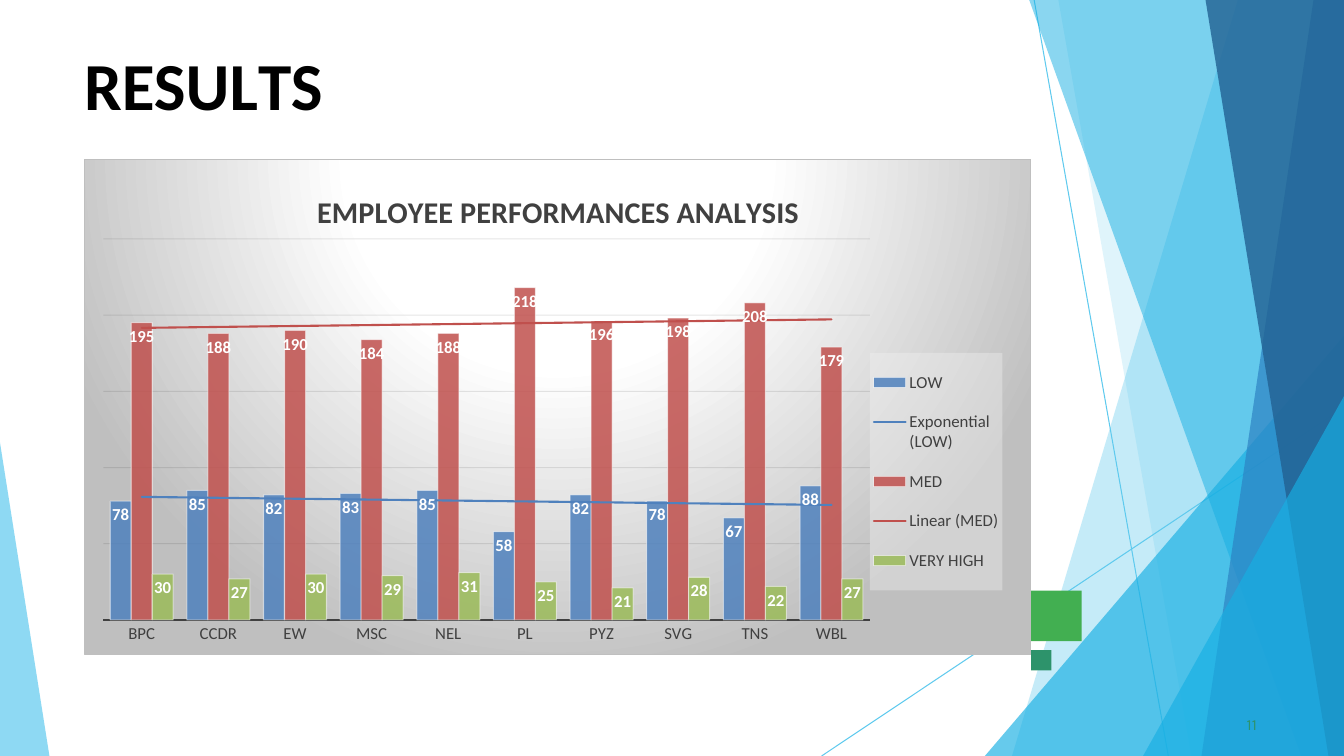
from dataclasses import dataclass

from lxml import etree
from pptx import Presentation
from pptx.chart.data import CategoryChartData
from pptx.dml.color import RGBColor
from pptx.enum.chart import XL_CHART_TYPE, XL_LABEL_POSITION, XL_LEGEND_POSITION, XL_TICK_MARK
from pptx.enum.shapes import MSO_CONNECTOR, MSO_SHAPE
from pptx.enum.text import MSO_ANCHOR, PP_ALIGN
from pptx.oxml import parse_xml
from pptx.oxml.ns import nsdecls, qn
from pptx.util import Inches, Pt

COLUMN = XL_CHART_TYPE.COLUMN_CLUSTERED
IN_END = XL_LABEL_POSITION.INSIDE_END
RIGHT = XL_LEGEND_POSITION.RIGHT
NO_TICK = XL_TICK_MARK.NONE
STRAIGHT = MSO_CONNECTOR.STRAIGHT
BOX = MSO_SHAPE.RECTANGLE
TOP = MSO_ANCHOR.TOP
LEFT = PP_ALIGN.LEFT

WIDE, HIGH = Inches(13.333), Inches(7.5)
SKY, CYAN, BLUE, NAVY = "5FCAEE", "17AFE3", "2D83C3", "226192"
GREEN, TEAL = "42AF51", "2D936B"
WHITE, BLACK, DARK, GREY = "FFFFFF", "000000", "404040", "BFBFBF"

Point = tuple[float, float]


@dataclass
class Panel:
    color: str
    alpha: int
    points: list[Point]


@dataclass
class Bars:
    name: str
    color: str
    values: tuple[int, ...]
    trend: str = ""


# Points and sizes are percent of the slide's width and height.
RAYS = [((76.95, 0), (86.93, 100)), ((100, 53.87), (61.13, 100))]
PANELS = [
    Panel(SKY, 36, [(100, 0), (92.1, 0), (75.3, 100), (100, 100)]),
    Panel(SKY, 20, [(100, 0), (78.75, 0), (88.65, 100), (100, 100)]),
    Panel(CYAN, 66, [(100, 44.4), (73.28, 100), (100, 100)]),
    Panel(CYAN, 50, [(100, 0), (76.58, 0), (96.83, 100), (100, 100)]),
    Panel(BLUE, 70, [(100, 0), (97.73, 0), (89.4, 100), (100, 100)]),
    Panel(NAVY, 80, [(100, 0), (89.7, 0), (98.85, 100), (100, 100)]),
    Panel(CYAN, 66, [(100, 52.4), (85.05, 100), (100, 100)]),
    Panel(SKY, 70, [(0, 58.53), (0, 100), (3.68, 100)]),
]
SQUARES = [(GREEN, (76.73, 78.13, 3.75, 6.67)), (TEAL, (76.73, 86, 1.5, 2.67))]
TITLE = [("RESU", 0), ("L", -400), ("TS", 0)]
TEAMS = ["BPC", "CCDR", "EW", "MSC", "NEL", "PL", "PYZ", "SVG", "TNS", "WBL"]
SERIES = [
    Bars("LOW", "4F81BD", (78, 85, 82, 83, 85, 58, 82, 78, 67, 88), "exp"),
    Bars("MED", "C0504D", (195, 188, 190, 184, 188, 218, 196, 198, 208, 179), "linear"),
    Bars("VERY HIGH", "9BBB59", (30, 27, 30, 29, 31, 25, 21, 28, 22, 27)),
]


def rgb(color: str) -> RGBColor:
    return RGBColor.from_string(color)


def spot(x: float, y: float) -> tuple[int, int]:
    return round(WIDE * x / 100), round(HIGH * y / 100)


def area(x: float, y: float, w: float, h: float) -> tuple[int, ...]:
    return spot(x, y) + spot(w, h)


def style(font, color: str, **form) -> None:
    for key, value in ({"name": "Calibri"} | form).items():
        setattr(font, key, value)
    font.color.rgb = rgb(color)


def paint(fill, color: str) -> None:
    fill.solid()
    fill.fore_color.rgb = rgb(color)


def rule(line, color: str, width: float) -> None:
    paint(line.fill, color)
    line.width = Pt(width)


def fade(node, *alphas: int) -> None:
    """Give the node's colours, in order, their opacity in percent."""
    for tint, alpha in zip(node.iter(qn("a:srgbClr")), alphas):
        etree.SubElement(tint, qn("a:alpha")).set("val", str(alpha * 1000))


def place(node, index: int, **shares: float) -> None:
    """Set a chart part's manual layout in shares of the chart."""
    for old in node.findall(qn("c:layout")):
        node.remove(old)
    layout = etree.Element(qn("c:layout"))
    manual = etree.SubElement(layout, qn("c:manualLayout"))
    modes = {"xMode": "edge", "yMode": "edge"}
    if index == 0:
        modes = {"layoutTarget": "inner"} | modes
    for key, value in (modes | shares).items():
        etree.SubElement(manual, qn(f"c:{key}")).set("val", str(value))
    node.insert(index, layout)


def solid(color: str) -> str:
    return f'<a:solidFill><a:srgbClr val="{color}"/></a:solidFill>'


def draw_back(shapes) -> None:
    for start, end in RAYS:
        ray = shapes.add_connector(STRAIGHT, *spot(*start), *spot(*end))
        rule(ray.line, SKY, 0.75)
        etree.SubElement(ray.element.spPr, qn("a:effectLst"))
    for panel in PANELS:
        first, *rest = [spot(*point) for point in panel.points]
        path = shapes.build_freeform(*first)
        path.add_line_segments(rest, close=True)
        shape = path.convert_to_shape()
        finish(shape, panel.color)
        fade(shape.element.spPr, panel.alpha)
    for color, frame in SQUARES:
        finish(shapes.add_shape(BOX, *area(*frame)), color)


def finish(shape, color: str) -> None:
    paint(shape.fill, color)
    shape.line.fill.background()
    shape.shadow.inherit = False


def write(shape, frame: tuple, runs: list, color: str, **form) -> None:
    shape.left, shape.top, shape.width, shape.height = area(*frame)
    text = shape.text_frame
    options = {"margin_left": 0, "margin_right": 0, "margin_bottom": 0,
               "margin_top": Inches(0.01), "word_wrap": True, "vertical_anchor": TOP}
    for key, value in options.items():
        setattr(text, key, value)
    line = text.paragraphs[0]
    line.alignment = LEFT
    line.space_before = Pt(1)
    for words, gap in runs:
        run = line.add_run()
        run.text = words
        style(run.font, color, **form)
        run._r.get_or_add_rPr().set("spc", str(gap))


def add_trend(node, bars: Bars) -> None:
    node.find(qn("c:cat")).addprevious(parse_xml(
        f'<c:trendline {nsdecls("c", "a")}><c:spPr><a:ln w="{Pt(1.5)}" cap="rnd">'
        f'{solid(bars.color)}</a:ln></c:spPr><c:trendlineType val="{bars.trend}"/>'
        '<c:dispRSqr val="0"/><c:dispEq val="0"/></c:trendline>'))


def draw_chart(shapes) -> None:
    data = CategoryChartData()
    data.categories = TEAMS
    for bars in SERIES:
        data.add_series(bars.name, bars.values)
    chart = shapes.add_chart(COLUMN, *area(6.25, 21.07, 70.48, 65.6), data).chart
    style(chart.font, BLACK, size=Pt(10))
    root = chart.element

    chart.has_title = True
    head = chart.chart_title.text_frame
    head.text = "EMPLOYEE PERFORMANCES ANALYSIS"
    style(head.paragraphs[0].runs[0].font, DARK, size=Pt(21.6), bold=True)
    place(root.find(".//" + qn("c:title")), 1, x=0.24, y=0.05)

    chart.has_legend = True
    legend = chart.legend
    legend.position = RIGHT
    legend.include_in_layout = False
    style(legend.font, DARK, size=Pt(12))
    key = root.find(".//" + qn("c:legend"))
    place(key, 1, x=0.83, y=0.39, w=0.14, h=0.48)
    back = parse_xml(f'<c:spPr {nsdecls("c", "a")}>{solid("F2F2F2")}</c:spPr>')
    fade(back, 39)
    key.find(qn("c:txPr")).addprevious(back)
    place(root.find(".//" + qn("c:plotArea")), 0, x=0.02, y=0.16, w=0.81, h=0.77)

    plot = chart.plots[0]
    plot.gap_width, plot.overlap, plot.vary_by_categories = 65, 0, False
    for bars, series, node in zip(SERIES, plot.series, root.iter(qn("c:ser"))):
        paint(series.format.fill, bars.color)
        rule(series.format.line, WHITE, 0.75)
        fade(node.find(qn("c:spPr")), 85, 50)
        labels = series.data_labels
        labels.show_value, labels.position = True, IN_END
        style(labels.font, WHITE, size=Pt(12), bold=True)
        if bars.trend:
            add_trend(node, bars)

    axis, scale = chart.category_axis, chart.value_axis
    axis.major_tick_mark = axis.minor_tick_mark = NO_TICK
    style(axis.tick_labels.font, DARK, size=Pt(12))
    rule(axis.format.line, DARK, 1.5)
    scale.minimum_scale, scale.maximum_scale, scale.major_unit = 0, 250, 50
    scale.visible = False
    rule(scale.major_gridlines.format.line, "0D0D0D", 0.75)
    fade(root.find(".//" + qn("c:majorGridlines")), 10)

    stops = "".join(f'<a:gs pos="{pos * 1000}"><a:srgbClr val="{color}"/></a:gs>'
                    for pos, color in [(0, WHITE), (39, WHITE), (100, GREY)])
    root.find(qn("c:chart")).addnext(parse_xml(
        f'<c:spPr {nsdecls("c", "a")}><a:gradFill><a:gsLst>{stops}</a:gsLst>'
        '<a:path path="circle"><a:fillToRect l="50000" t="-80000" r="50000" b="180000"/>'
        f'</a:path></a:gradFill><a:ln w="{Pt(0.75)}">{solid(GREY)}</a:ln></c:spPr>'))


def main() -> None:
    deck = Presentation()
    deck.slide_width, deck.slide_height = WIDE, HIGH
    shapes = deck.slides.add_slide(deck.slide_layouts[5]).shapes
    draw_back(shapes)
    write(shapes.title, (6.25, 5.6, 20, 11.07), TITLE, BLACK, size=Pt(48), bold=True)
    frame = (92.75, 94.4, 1.88, 2.8)
    write(shapes.add_textbox(*area(*frame)), frame, [("11", 10)], TEAL,
          name="Karla", size=Pt(11))
    draw_chart(shapes)
    deck.save("out.pptx")


if __name__ == "__main__":
    main()
